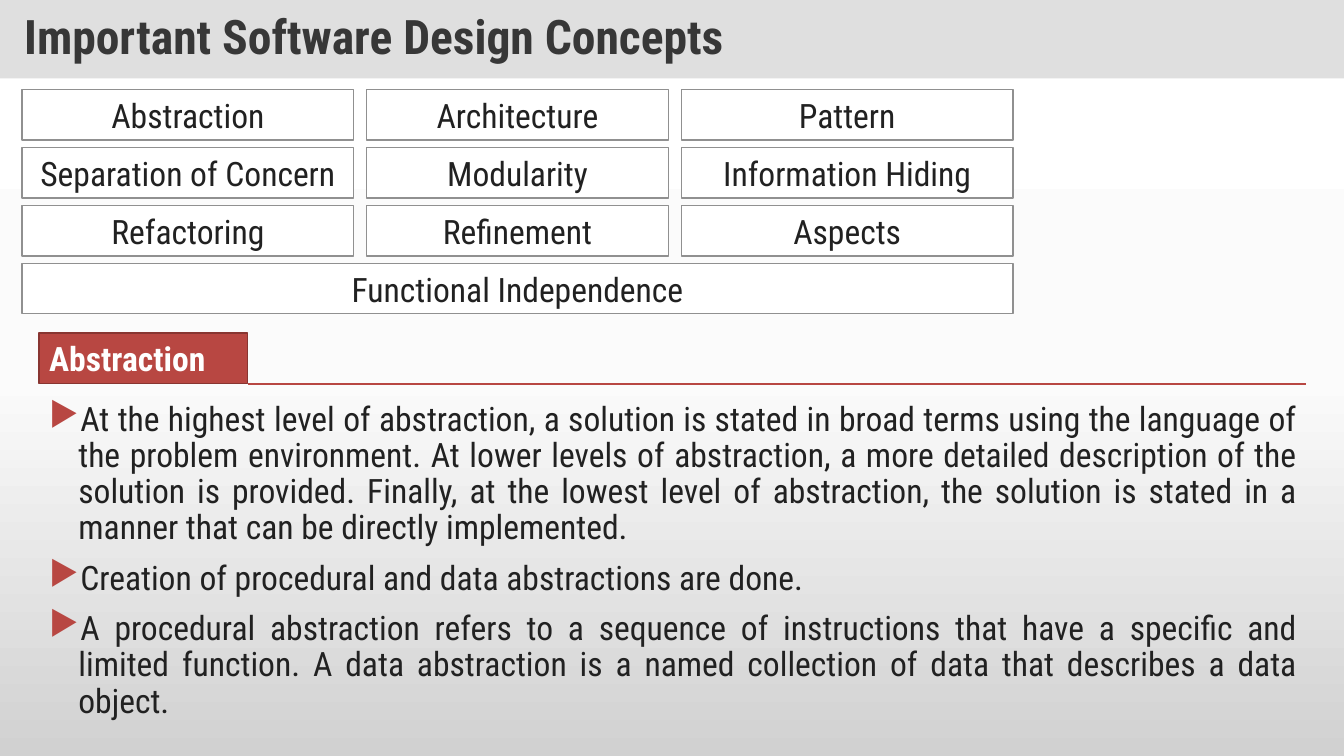
from copy import deepcopy

from lxml import etree
from pptx import Presentation
from pptx.dml import color
from pptx.enum import shapes, text
from pptx.oxml import ns
from pptx.util import Pt

COLORS = {
    "white": "FFFFFF", "pale": "FBFBFB", "mist": "D1D1D1", "band": "C0C0C0",
    "heading": "373737", "ink": "212121", "border": "909090",
    "accent": "B84742", "accent_edge": "883531",
}
CONCEPTS = [
    ["Abstraction", "Architecture", "Pattern"],
    ["Separation of Concern", "Modularity", "Information Hiding"],
    ["Refactoring", "Refinement", "Aspects"],
]
COLUMN_WIDTHS = [236.9, 216, 236.9]
LEFT, TOP, GAP, ROW_STEP, BOX_HEIGHT = 15.8, 64, 9, 41.4, 36
POINTS = [
    "At the highest level of abstraction, a solution is stated in broad terms using the "
    "language of the problem environment. At lower levels of abstraction, a more detailed "
    "description of the solution is provided. Finally, at the lowest level of abstraction, "
    "the solution is stated in a manner that can be directly implemented.",
    "Creation of procedural and data abstractions are done.",
    "A procedural abstraction refers to a sequence of instructions that have a specific and "
    "limited function. A data abstraction is a named collection of data that describes a "
    "data object.",
]


def rgb(name):
    return color.RGBColor.from_string(COLORS[name])


def apply(target, values):
    for name, value in values.items():
        setattr(target, name, value)


class ConceptSlide:
    """Hold the lecture style and the slide being built."""

    font = "Roboto Condensed"
    size = 24

    def __init__(self, deck):
        self.slide = deck.slides.add_slide(deck.slide_layouts[5])

    def add_words(self, paragraph, words, ink="ink", size=size, bold=False, **layout):
        apply(paragraph, layout)
        run = paragraph.add_run()
        run.text = words
        apply(run.font, {"name": self.font, "size": Pt(size), "bold": bold})
        run.font.color.rgb = rgb(ink)

    def background(self, *names):
        fill = self.slide.background.fill
        fill.gradient()
        fill.gradient_angle = 270
        stops = next(self.slide.element.iter(ns.qn("a:gsLst")))
        stops.insert(1, deepcopy(stops[0]))
        for index, (stop, name) in enumerate(zip(fill.gradient_stops, names)):
            stop.color.rgb = rgb(name)
            stop.position = index / (len(names) - 1)

    def title(self, words, width, height):
        heading = self.slide.shapes.title
        apply(heading, {"left": 0, "top": 0, "width": Pt(width), "height": Pt(height)})
        heading.fill.solid()
        heading.fill.fore_color.rgb = rgb("band")
        tint = next(heading.element.iter(ns.qn("a:srgbClr")))
        etree.SubElement(tint, ns.qn("a:alpha"), val="50000")
        frame = heading.text_frame
        apply(frame, {
            "margin_left": Pt(17.3), "margin_right": Pt(17.3),
            "margin_top": Pt(8.6), "margin_bottom": Pt(8.6),
            "vertical_anchor": text.MSO_ANCHOR.MIDDLE, "word_wrap": True,
            "auto_size": text.MSO_AUTO_SIZE.NONE,
        })
        self.add_words(frame.paragraphs[0], words, "heading", 34, True,
                       alignment=text.PP_ALIGN.LEFT, line_spacing=0.9)

    def box(self, words, left, top, width, fill="white", edge="border", ink="ink",
            bold=False, alignment=text.PP_ALIGN.CENTER):
        label = self.slide.shapes.add_shape(
            shapes.MSO_SHAPE.RECTANGLE, Pt(left), Pt(top), Pt(width), Pt(BOX_HEIGHT))
        label.shadow.inherit = False
        label.fill.solid()
        label.fill.fore_color.rgb = rgb(fill)
        label.line.color.rgb = rgb(edge)
        label.line.width = Pt(1)
        apply(label.text_frame, {
            "word_wrap": True, "auto_size": text.MSO_AUTO_SIZE.SHAPE_TO_FIT_TEXT})
        self.add_words(label.text_frame.paragraphs[0], words, ink, bold=bold,
                       alignment=alignment)

    def rule(self, left, right, top):
        underline = self.slide.shapes.add_connector(
            shapes.MSO_CONNECTOR.STRAIGHT, Pt(left), Pt(top), Pt(right), Pt(top))
        underline.line.color.rgb = rgb("accent")
        underline.line.width = Pt(1)
        properties = next(underline.element.iter(ns.qn("p:spPr")))
        etree.SubElement(properties, ns.qn("a:effectLst"))

    def bullets(self, points, left, top, width, height):
        frame = self.slide.shapes.add_textbox(
            Pt(left), Pt(top), Pt(width), Pt(height)).text_frame
        frame.word_wrap = True
        for index, words in enumerate(points):
            paragraph = frame.add_paragraph() if index else frame.paragraphs[0]
            properties = paragraph._p.get_or_add_pPr()
            properties.set("marL", str(Pt(20.9)))
            properties.set("indent", str(-Pt(20.9)))
            tint = etree.SubElement(properties, ns.qn("a:buClr"))
            etree.SubElement(tint, ns.qn("a:srgbClr"), val=COLORS["accent"])
            etree.SubElement(properties, ns.qn("a:buChar"), char="▶")
            self.add_words(paragraph, words, alignment=text.PP_ALIGN.JUSTIFY,
                           line_spacing=0.9, space_before=Pt(10 if index else 0))


def main():
    deck = Presentation()
    apply(deck, {"slide_width": Pt(960), "slide_height": Pt(540)})
    page = ConceptSlide(deck)
    page.background("white", "pale", "mist")
    page.title("Important Software Design Concepts", 960, 56)
    for row, concepts in enumerate(CONCEPTS):
        left = LEFT
        for concept, width in zip(concepts, COLUMN_WIDTHS):
            page.box(concept, left, TOP + row * ROW_STEP, width)
            left += width + GAP
    page.box("Functional Independence", LEFT, TOP + len(CONCEPTS) * ROW_STEP,
             sum(COLUMN_WIDTHS) + 2 * GAP)
    page.box("Abstraction", 28, 237.8, 149, "accent", "accent_edge", "white", True,
             text.PP_ALIGN.LEFT)
    page.rule(177, 933, 274.2)
    page.bullets(POINTS, 28, 283.7, 905.8, 164)
    deck.save("out.pptx")


if __name__ == "__main__":
    main()
